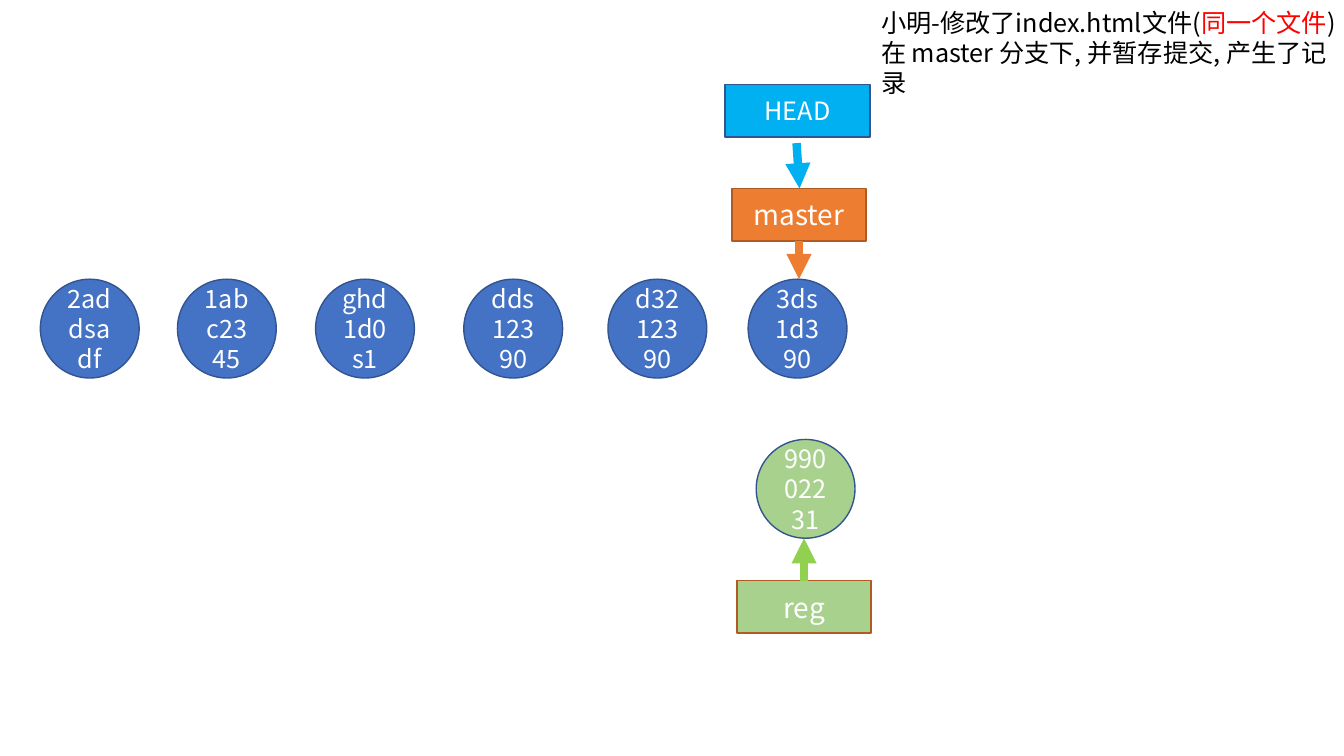
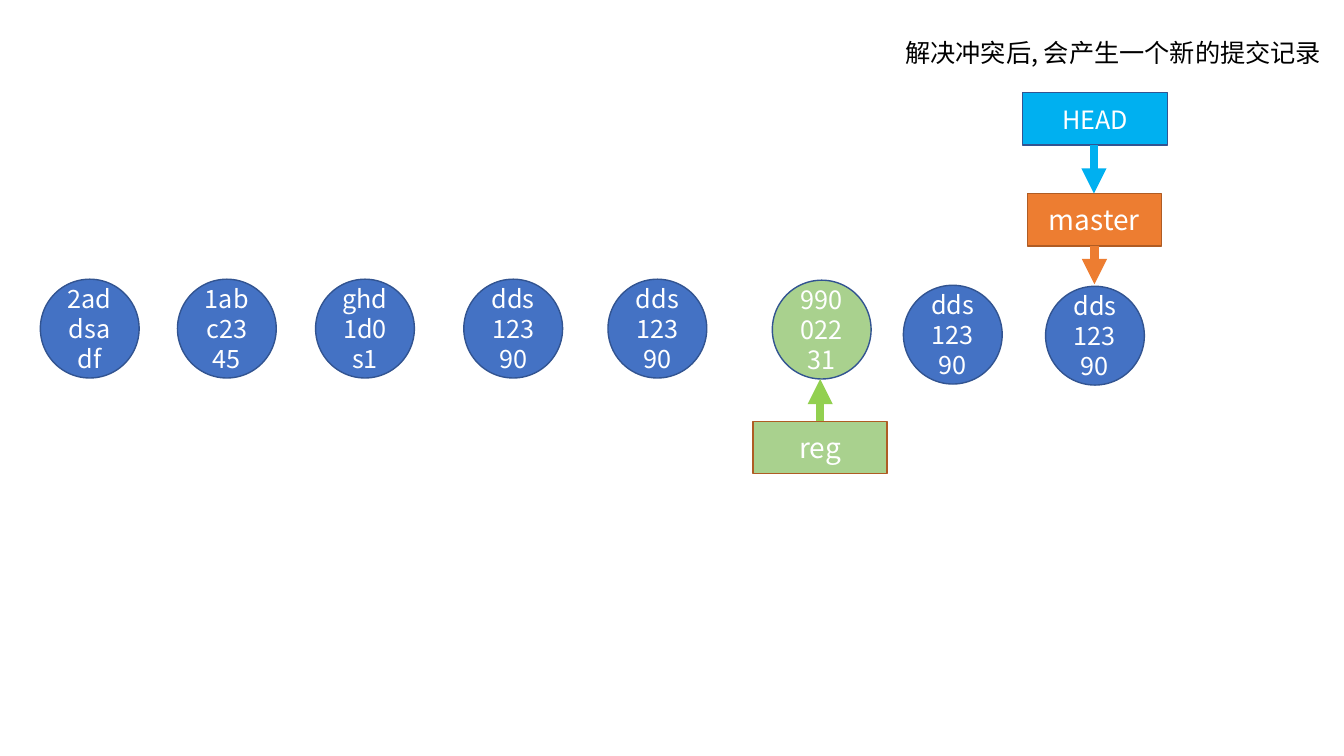
from lxml import etree
from pptx import Presentation
from pptx.dml.color import RGBColor
from pptx.enum.shapes import MSO_CONNECTOR, MSO_SHAPE
from pptx.enum.text import MSO_ANCHOR, MSO_AUTO_SIZE, PP_ALIGN
from pptx.oxml.ns import qn
from pptx.util import Inches, Pt

OVAL, RECTANGLE = MSO_SHAPE.OVAL, MSO_SHAPE.RECTANGLE
STRAIGHT = MSO_CONNECTOR.STRAIGHT
CENTER, MIDDLE = PP_ALIGN.CENTER, MSO_ANCHOR.MIDDLE
GROW = MSO_AUTO_SIZE.SHAPE_TO_FIT_TEXT

FONT = "Noto Sans CJK SC"
WHITE, BLACK, RED = "FFFFFF", "000000", "FF0000"
BLUE, GREEN, ORANGE, CYAN, LIME = "4472C4", "A9D18E", "ED7D31", "00B0F0", "92D050"
BLUE_EDGE, ORANGE_EDGE = "325491", "AF5C24"

CELL = Inches(0.1)
COMMIT_SIZE = 9.8
COMMIT_ROW = 27.7
TAG_HEIGHT = 5.2
BRANCH_WIDTH, HEAD_WIDTH = 13.3, 14.4


def color(hex_string):
    """Return the colour for a hex string."""
    return RGBColor.from_string(hex_string)


def cells(*counts):
    """Return lengths for counts of grid cells."""
    return [int(count * CELL) for count in counts]


class GitDiagram:
    """Draws commits, branch tags and arrows on a square grid."""

    def __init__(self):
        """Start a widescreen presentation."""
        self.presentation = Presentation()
        self.presentation.slide_width = Inches(13.33)
        self.presentation.slide_height = Inches(7.5)
        self.slide = None

    def add_slide(self):
        """Make a new blank slide the current one."""
        layout = self.presentation.slide_layouts[6]
        self.slide = self.presentation.slides.add_slide(layout)

    def style_run(self, run, size, text_color):
        """Apply the shared font to a run."""
        run.font.size = Pt(size)
        run.font.name = FONT
        run.font.color.rgb = color(text_color)
        properties = run.font._element
        etree.SubElement(properties, qn("a:ea"), typeface=FONT)

    def node(self, kind, box, text, fill, edge, size=18):
        """Add a filled shape with centred white text."""
        shape = self.slide.shapes.add_shape(kind, *cells(*box))
        shape.shadow.inherit = False
        shape.fill.solid()
        shape.fill.fore_color.rgb = color(fill)
        shape.line.color.rgb = color(edge)
        shape.line.width = Pt(1)
        text_frame = shape.text_frame
        text_frame.text = text
        text_frame.word_wrap = True
        text_frame.vertical_anchor = MIDDLE
        paragraph = text_frame.paragraphs[0]
        paragraph.alignment = CENTER
        self.style_run(paragraph.runs[0], size, WHITE)
        return shape

    def commit(self, column, text, row=COMMIT_ROW, fill=BLUE):
        """Add a round commit."""
        box = (column, row, COMMIT_SIZE, COMMIT_SIZE)
        self.node(OVAL, box, text, fill, BLUE_EDGE)

    def branch(self, column, row, text, fill):
        """Add a branch tag."""
        box = (column, row, BRANCH_WIDTH, TAG_HEIGHT)
        return self.node(RECTANGLE, box, text, fill, ORANGE_EDGE, 20)

    def arrow(self, start, end, line_color):
        """Add a thick arrow between two grid points."""
        connector = self.slide.shapes.add_connector(STRAIGHT, *cells(*start, *end))
        connector.line.color.rgb = color(line_color)
        connector.line.width = Pt(6)
        line = connector.line._get_or_add_ln()
        etree.SubElement(line, qn("a:tailEnd"), type="triangle")
        etree.SubElement(connector._element.spPr, qn("a:effectLst"))
        return connector

    def head(self, column, row, start, end):
        """Add the HEAD tag and its arrow."""
        box = (column, row, HEAD_WIDTH, TAG_HEIGHT)
        self.node(RECTANGLE, box, "HEAD", CYAN, BLUE_EDGE)
        self.arrow(start, end, CYAN)

    def master(self, column, row):
        """Add the master tag grouped with its downward arrow."""
        tag = self.branch(column, row, "master", ORANGE)
        middle, bottom = column + BRANCH_WIDTH / 2, row + TAG_HEIGHT
        arrow = self.arrow((middle, bottom), (middle, bottom + 3.8), ORANGE)
        self.slide.shapes.add_group_shape([tag, arrow])

    def reg(self, column, row, commit_column):
        """Add the reg tag, its upward arrow and its commit."""
        self.branch(column, row, "reg", GREEN)
        middle, tip = column + BRANCH_WIDTH / 2, row - 4.2
        self.commit(commit_column, "99002231", tip - COMMIT_SIZE, GREEN)
        self.arrow((middle, row), (middle, tip), LIME)

    def caption(self, box, lines):
        """Add paragraphs made of (text, colour) runs."""
        text_box = self.slide.shapes.add_textbox(*cells(*box))
        text_frame = text_box.text_frame
        text_frame.word_wrap = True
        text_frame.auto_size = GROW
        text_frame.text = "\n".join("" for _ in lines)
        for paragraph, pieces in zip(text_frame.paragraphs, lines):
            for text, text_color in pieces:
                run = paragraph.add_run()
                run.text = text
                self.style_run(run, 18, text_color)

    def history(self, fifth_commit):
        """Add the five commits that open each slide."""
        names = ("2addsadf", "1abc2345", "ghd1d0s1", "dds12390", fifth_commit)
        for column, name in zip((4, 17.6, 31.3, 46, 60.3), names):
            self.commit(column, name)


diagram = GitDiagram()

diagram.add_slide()
diagram.history("d3212390")
diagram.caption((86.4, 0.2, 48.6, 7.1), [
    [("小明-修改了index.html文件(", BLACK), ("同一个文件", RED), (")", BLACK)],
    [("在 master 分支下, 并暂存提交, 产生了记录", BLACK)],
])
diagram.reg(73.1, 57.6, 75)
diagram.master(72.6, 18.7)
diagram.head(71.9, 8.4, (79, 14.2), (79.3, 18.7))
diagram.commit(74.2, "3ds1d390")

diagram.add_slide()
diagram.history("dds12390")
diagram.caption((88.8, 3.2, 43.7, 4), [
    [("解决冲突后, 会产生一个新的提交记录", BLACK)],
])
diagram.reg(74.7, 41.8, 76.6)
diagram.master(101.9, 19.2)
diagram.head(101.4, 9.2, (108.5, 14.4), (108.5, 19.2))
for column, row in ((89.6, 28.3), (103.7, 28.4)):
    diagram.commit(column, "dds12390", row)

diagram.presentation.save("out.pptx")
